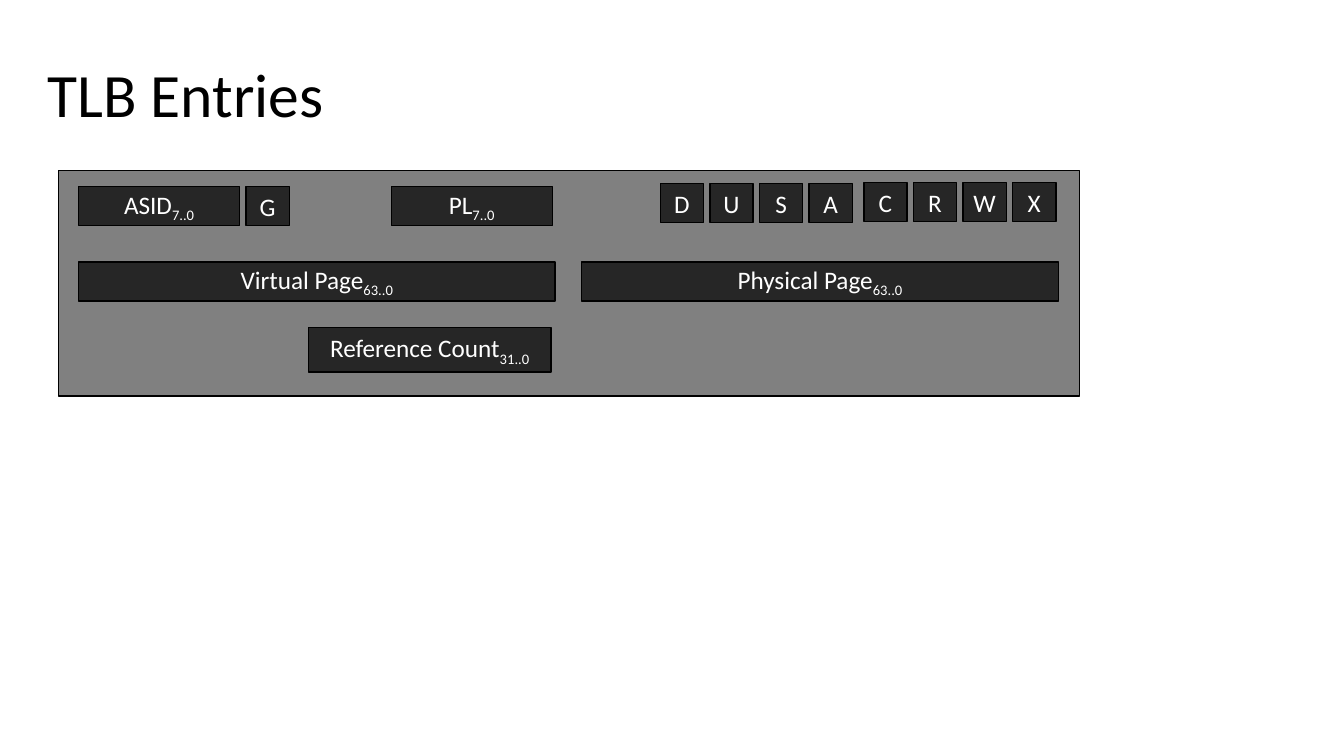
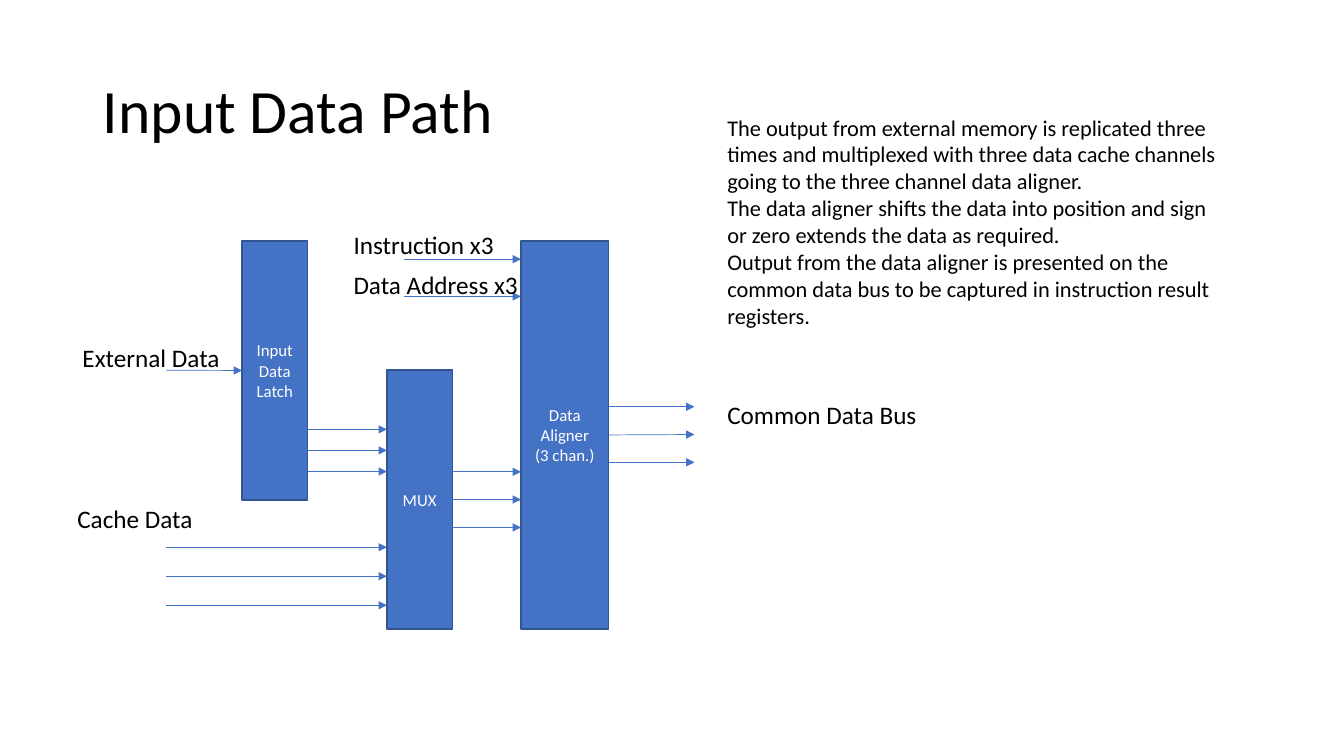
from pptx import Presentation
from pptx.dml.color import RGBColor
from pptx.enum.shapes import MSO_CONNECTOR, MSO_SHAPE
from pptx.enum.text import MSO_ANCHOR, MSO_AUTO_SIZE, PP_ALIGN
from pptx.oxml.ns import qn
from pptx.util import Cm, Pt
from lxml.etree import SubElement

FONT = "Calibri"
COLORS = {
    "text": "000000",
    "light": "FFFFFF",
    "panel": "808080",
    "field": "262626",
    "outline": "000000",
    "block": "4472C4",
    "block_edge": "325491",
    "arrow": "4472C4",
}


def color(name):
    return RGBColor.from_string(COLORS[name])


def set_font(paragraph, size, color_name):
    font = paragraph.font
    font.name = FONT
    font.size = Pt(size)
    font.color.rgb = color(color_name)


def add_titled_slide(presentation, text, left, top):
    slide = presentation.slides.add_slide(presentation.slide_layouts[5])
    title = slide.shapes.title
    title.left, title.top, title.width, title.height = Cm(left), Cm(top), Cm(29.21), Cm(3.68)
    frame = title.text_frame
    frame.text = text
    frame.vertical_anchor = MSO_ANCHOR.MIDDLE
    paragraph = frame.paragraphs[0]
    paragraph.alignment = PP_ALIGN.LEFT
    paragraph.line_spacing = 0.9
    set_font(paragraph, 44, "text")
    return slide


def add_box(slide, left, top, width, height, fill, edge, lines=(), size=18):
    shape = slide.shapes.add_shape(
        MSO_SHAPE.RECTANGLE, Cm(left), Cm(top), Cm(width), Cm(height))
    shape.shadow.inherit = False
    shape.fill.solid()
    shape.fill.fore_color.rgb = color(fill)
    shape.line.color.rgb = color(edge)
    shape.line.width = Pt(1)
    frame = shape.text_frame
    frame.word_wrap = True
    frame.vertical_anchor = MSO_ANCHOR.MIDDLE
    frame.text = "\n".join(lines)
    for paragraph in frame.paragraphs:
        paragraph.alignment = PP_ALIGN.CENTER
        set_font(paragraph, size, "light")
    return shape


def add_field(slide, name, bits, left, top, width, height=0.99):
    shape = add_box(slide, left, top, width, height, "field", "outline", [name])
    if bits:
        run = shape.text_frame.paragraphs[0].add_run()
        run.text = bits
        run.font._element.set("baseline", "-25000")


def add_block(slide, lines, left, top, width, height):
    return add_box(slide, left, top, width, height, "block", "block_edge", lines, 12)


def add_text(slide, lines, left, top, width, height=1.02, size=18, wrap=False):
    box = slide.shapes.add_textbox(Cm(left), Cm(top), Cm(width), Cm(height))
    frame = box.text_frame
    frame.word_wrap = wrap
    frame.auto_size = MSO_AUTO_SIZE.SHAPE_TO_FIT_TEXT
    frame.text = "\n".join(lines)
    for paragraph in frame.paragraphs:
        set_font(paragraph, size, "text")


def add_arrow(slide, start, end, y):
    arrow = slide.shapes.add_connector(
        MSO_CONNECTOR.STRAIGHT, Cm(start), Cm(y), Cm(end), Cm(y))
    arrow.line.color.rgb = color("arrow")
    arrow.line.width = Pt(0.5)
    SubElement(arrow.line._get_or_add_ln(), qn("a:tailEnd"), type="triangle")
    SubElement(arrow._element.spPr, qn("a:effectLst"))
    return arrow


def add_arrows(slide, start, end, top, pitch, count=3):
    return [add_arrow(slide, start, end, top + index * pitch) for index in range(count)]


def build_tlb_entries(presentation):
    slide = add_titled_slide(presentation, "TLB Entries", 0.94, 0.61)
    add_box(slide, 1.47, 4.29, 25.73, 5.69, "panel", "outline")
    add_field(slide, "ASID", "7..0", 1.98, 4.7, 4.06)
    add_field(slide, "G", "", 6.2, 4.7, 1.09)
    add_field(slide, "PL", "7..0", 9.86, 4.7, 4.06)
    add_field(slide, "Virtual Page", "63..0", 1.98, 6.6, 12.01)
    add_field(slide, "Physical Page", "63..0", 14.66, 6.6, 12.01)
    add_field(slide, "Reference Count", "31..0", 7.77, 8.26, 6.12, 1.12)
    for flags, left, top in (("DUSA", 16.64, 4.62), ("CRWX", 21.77, 4.6)):
        for index, flag in enumerate(flags):
            add_field(slide, flag, "", left + index * 1.25, top, 1.09)


def build_input_data_path(presentation):
    slide = add_titled_slide(presentation, "Input Data Path", 2.34, 1.02)
    latch = add_block(slide, ["Input Data Latch"], 6.1, 6.07, 1.65, 6.53)
    mux = add_block(slide, ["MUX"], 9.75, 9.32, 1.65, 6.53)
    aligner = add_block(slide, ["Data Aligner", "(3 chan.)"], 13.13, 6.07, 2.21, 9.78)

    external_arrow = add_arrow(slide, 4.19, 6.1, 9.33)
    external_arrow.end_connect(latch, 1)
    add_arrows(slide, 7.75, 9.75, 10.82, 0.53)
    add_arrows(slide, 4.19, 9.75, 13.79, 0.73)
    add_arrows(slide, 10.19, 13.13, 6.53, 0.94, 2)
    mux_arrows = add_arrows(slide, 11.4, 13.13, 11.89, 0.7)
    mux_arrows[1].begin_connect(mux, 3)
    bus_arrows = add_arrows(slide, 15.34, 17.5, 10.25, 0.7)
    bus_arrows[1].begin_connect(aligner, 3)

    for label, left, top, width in (
        ("External Data", 1.83, 8.51, 4.01),
        ("Cache Data", 1.7, 12.55, 3.45),
        ("Instruction x3", 8.66, 5.66, 4.09),
        ("Data Address x3", 8.66, 6.65, 4.7),
        ("Common Data Bus", 18.08, 9.93, 5.33),
    ):
        add_text(slide, [label], left, top, width)
    add_text(slide, [
        "The output from external memory is replicated three times and multiplexed "
        "with three data cache channels going to the three channel data aligner.",
        "The data aligner shifts the data into position and sign or zero extends "
        "the data as required.",
        "Output from the data aligner is presented on the common data bus to be "
        "captured in instruction result registers.",
    ], 18.08, 2.74, 12.85, 5.74, 16, True)


def main():
    presentation = Presentation()
    presentation.slide_width = Cm(33.87)
    presentation.slide_height = Cm(19.05)
    build_tlb_entries(presentation)
    build_input_data_path(presentation)
    presentation.save("out.pptx")


if __name__ == "__main__":
    main()
